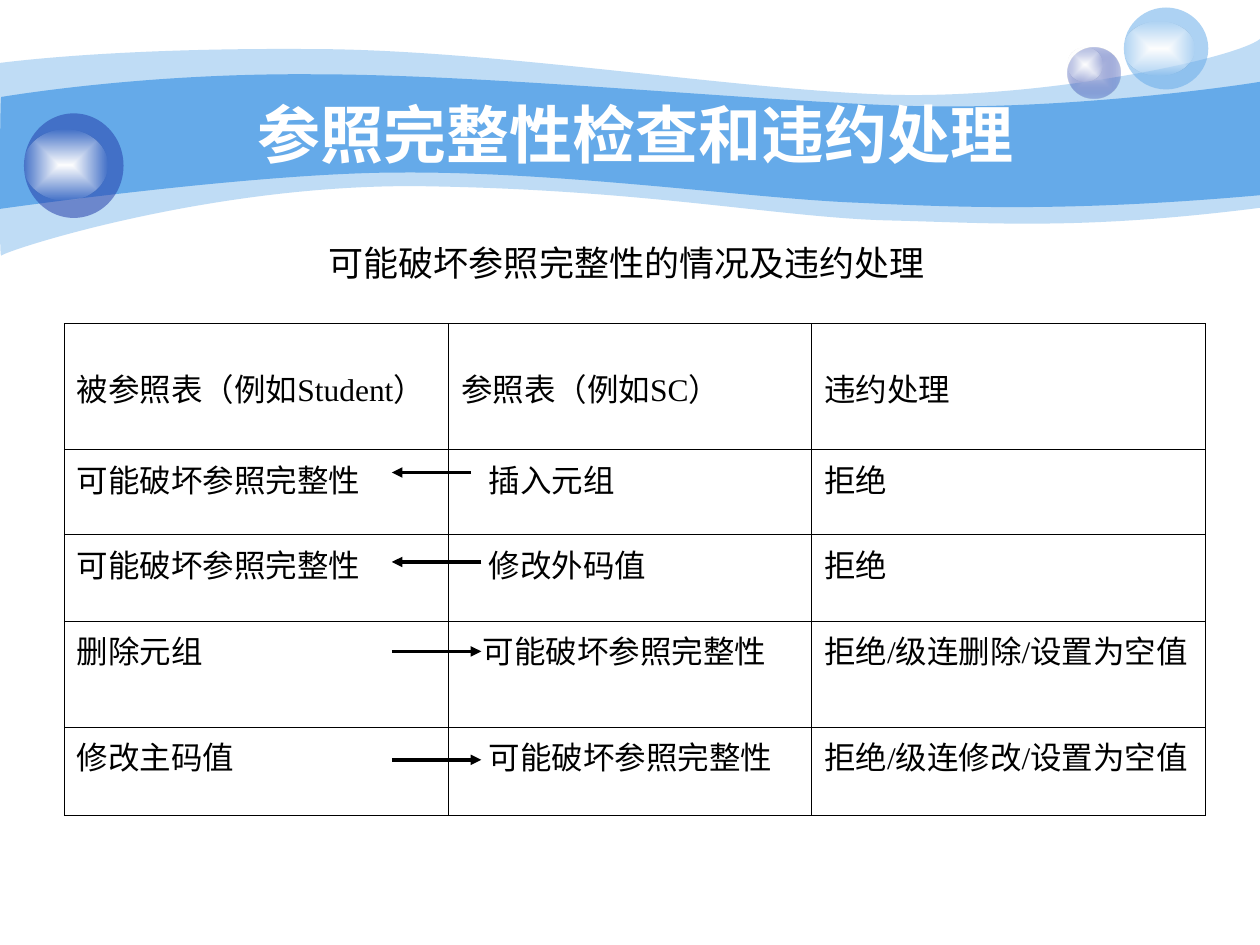
"""Build a slide on referential integrity checks with a wave banner and a table."""
from dataclasses import dataclass
from typing import NamedTuple, Optional

from lxml import etree
from pptx import Presentation, util as u
from pptx.dml import color
from pptx.enum import shapes, text
from pptx.oxml import ns

GRID = u.Inches(1)
COLUMNS, ROWS = 10, 7.5
BLACK, WHITE, SKY, NAVY = "000000", "FFFFFF", "65AAE9", "233DA9"
SERIF, SANS = "Times New Roman", "Arial"


class Box(NamedTuple):
    left: float
    top: float
    width: float
    height: float


class Stop(NamedTuple):
    position: int
    hex_value: str
    alpha: int = 100


@dataclass
class Wave:
    start: tuple
    segments: list
    alpha: int = 100


@dataclass
class Bubble:
    box: Box
    shine: Box
    hex_value: str
    alpha: int = 100
    stops: Optional[list] = None


@dataclass
class Arrow:
    start: float
    end: float
    row: float


@dataclass
class Entry:
    words: str
    indent: float = 0


WAVES = [
    Wave((0, 0.5), [
        (0.24, 0.47, 1.07, 0.38, 2.47, 0.39), (3.86, 0.39, 5.75, 0.7, 6.99, 0.75),
        (8.22, 0.8, 9.8, 0.47, 10, 0.31), (10, 1.65),
        (8.58, 1.83, 7.87, 1.77, 7.05, 1.75), (6.22, 1.73, 5.15, 1.51, 3.43, 1.48),
        (1.72, 1.44, 0.04, 1.99, 0.01, 2.03), (-0.01, 2.08, 0, 0.75, 0, 0.5)], 41),
    Wave((0.01, 0.77), [
        (0.02, 0.77, 1.1, 0.58, 2.48, 0.59), (3.86, 0.59, 5.95, 0.8, 7.18, 0.84),
        (8.41, 0.88, 9.76, 0.69, 10, 0.65), (10, 1.55),
        (8.53, 1.68, 7.65, 1.65, 6.82, 1.61), (5.99, 1.58, 4.47, 1.36, 3.17, 1.37),
        (2.03, 1.37, -0.02, 1.66, -0.01, 1.66), (0, 1.66, 0, 0.77, 0.01, 0.77)]),
]
SHINE = [Stop(0, WHITE), Stop(100, "FEFEFE", 0)]
BUBBLES = [
    Bubble(Box(8.47, 0.38, 0.42, 0.4), Box(8.47, 0.38, 0.28, 0.27), NAVY,
           stops=[Stop(0, "C6CCE8"), Stop(100, NAVY, 31)]),
    Bubble(Box(8.92, 0.06, 0.67, 0.65), Box(8.92, 0.17, 0.56, 0.43), SKY, 53),
    Bubble(Box(0.19, 0.9, 0.79, 0.83), Box(0.19, 1.03, 0.66, 0.56), NAVY, 53),
]
TABLE_BOX = Box(0.51, 2.57, 9.06, 3.94)
COLUMN_WIDTHS = [3.05, 2.88, 3.13]
ROW_HEIGHTS = [1, 0.67, 0.69, 0.84, 0.7]
HEADER_DROP = 0.28
BROKEN = "可能破坏参照完整性"
ENTRIES = [
    [Entry("被参照表（例如Student）"), Entry("参照表（例如SC）"), Entry("违约处理")],
    [Entry(BROKEN), Entry("插入元组", 0.22), Entry("拒绝")],
    [Entry(BROKEN), Entry("修改外码值", 0.22), Entry("拒绝")],
    [Entry("删除元组"), Entry(BROKEN, 0.17), Entry("拒绝/级连删除/设置为空值")],
    [Entry("修改主码值"), Entry(BROKEN, 0.22), Entry("拒绝/级连修改/设置为空值")],
]
ARROWS = [Arrow(3.74, 3.11, 3.75), Arrow(3.82, 3.11, 4.46),
          Arrow(3.11, 3.82, 5.17), Arrow(3.11, 3.82, 6.03)]


def emu(cells: float) -> int:
    return round(cells * GRID)


def place(box: Box) -> list:
    return [emu(value) for value in box]


def rgb(hex_value: str) -> color.RGBColor:
    return color.RGBColor.from_string(hex_value)


def add_child(parent, tag: str, **attributes):
    return etree.SubElement(parent, ns.qn(tag), {k: str(v) for k, v in attributes.items()})


def add_colour(parent, hex_value: str, alpha: int = 100) -> None:
    node = add_child(parent, "a:srgbClr", val=hex_value)
    if alpha < 100:
        add_child(node, "a:alpha", val=alpha * 1000)


def paint(shape, hex_value: str, alpha: int = 100) -> None:
    shape.shadow.inherit = False
    shape.line.fill.background()
    shape.fill.solid()
    shape.fill.fore_color.rgb = rgb(hex_value)
    if alpha < 100:
        node = next(shape.element.spPr.iter(ns.qn("a:srgbClr")))
        add_child(node, "a:alpha", val=alpha * 1000)


def paint_glow(shape, stops: list) -> None:
    paint(shape, WHITE)
    solid = shape.element.spPr.find(ns.qn("a:solidFill"))
    gradient = etree.Element(ns.qn("a:gradFill"), rotWithShape="1")
    stop_list = add_child(gradient, "a:gsLst")
    for stop in stops:
        node = add_child(stop_list, "a:gs", pos=stop.position * 1000)
        add_colour(node, stop.hex_value, stop.alpha)
    centre = add_child(gradient, "a:path", path="rect")
    add_child(centre, "a:fillToRect", l=50000, t=50000, r=50000, b=50000)
    shape.element.spPr.replace(solid, gradient)


def bend(shape, segments: list) -> None:
    outline = next(shape.element.spPr.iter(ns.qn("a:path")))
    steps = iter(outline.findall(ns.qn("a:lnTo")))
    for segment in segments:
        group = [next(steps) for _ in range(len(segment) // 2)]
        if len(group) == 3:
            curve = etree.Element(ns.qn("a:cubicBezTo"))
            group[0].addprevious(curve)
            for step in group:
                curve.append(step[0])
                outline.remove(step)


def draw_wave(slide, wave: Wave) -> None:
    points = [(emu(segment[i]), emu(segment[i + 1]))
              for segment in wave.segments for i in range(0, len(segment), 2)]
    builder = slide.shapes.build_freeform(*[emu(value) for value in wave.start], scale=1.0)
    builder.add_line_segments(points, close=True)
    shape = builder.convert_to_shape()
    bend(shape, wave.segments)
    paint(shape, SKY, wave.alpha)


def draw_bubble(slide, bubble: Bubble) -> None:
    group = slide.shapes.add_group_shape()
    body = group.shapes.add_shape(shapes.MSO_SHAPE.OVAL, *place(bubble.box))
    if bubble.stops:
        paint_glow(body, bubble.stops)
    else:
        paint(body, bubble.hex_value, bubble.alpha)
    paint_glow(group.shapes.add_shape(shapes.MSO_SHAPE.OVAL, *place(bubble.shine)), SHINE)


def write(paragraph, words: str, size: int, font: str, hex_value: str = BLACK,
          bold: bool = False) -> None:
    run = paragraph.add_run()
    run.text = words
    run.font.size, run.font.name, run.font.bold = u.Pt(size), font, bold
    run.font.color.rgb = rgb(hex_value)


def write_centred(shape, words: str, size: int, font: str, hex_value: str, bold: bool) -> None:
    frame = shape.text_frame
    frame.vertical_anchor = text.MSO_ANCHOR.MIDDLE
    frame.paragraphs[0].alignment = text.PP_ALIGN.CENTER
    write(frame.paragraphs[0], words, size, font, hex_value, bold)


def write_title(slide, words: str) -> None:
    title = slide.shapes.title
    slide.shapes.element.append(title.element)
    title.left, title.top, title.width, title.height = place(Box(1, 0.75, 8.08, 0.62))
    title.text_frame.auto_size = text.MSO_AUTO_SIZE.NONE
    write_centred(title, words, 36, SANS, WHITE, True)


def write_caption(slide, words: str) -> None:
    caption = slide.shapes.add_textbox(*place(Box(2.51, 1.86, 4.93, 0.44)))
    caption.text_frame.word_wrap = False
    caption.text_frame.auto_size = text.MSO_AUTO_SIZE.SHAPE_TO_FIT_TEXT
    write_centred(caption, words, 20, SERIF, BLACK, False)


def border(cell) -> None:
    properties = cell._tc.get_or_add_tcPr()
    for index, side in enumerate(("a:lnL", "a:lnR", "a:lnT", "a:lnB")):
        line = etree.Element(ns.qn(side), w=str(u.Pt(0.45)))
        add_colour(add_child(line, "a:solidFill"), BLACK)
        properties.insert(index, line)


def draw_table(slide) -> None:
    table = slide.shapes.add_table(len(ENTRIES), len(COLUMN_WIDTHS), *place(TABLE_BOX)).table
    table.first_row = table.horz_banding = False
    for column, width in zip(table.columns, COLUMN_WIDTHS):
        column.width = emu(width)
    for index, (row, height) in enumerate(zip(table.rows, ROW_HEIGHTS)):
        row.height = emu(height)
        for cell, entry in zip(row.cells, ENTRIES[index]):
            cell.margin_left = emu(0.1 + entry.indent)
            cell.margin_top = emu(0.05 + (0 if index else HEADER_DROP))
            cell.fill.background()
            border(cell)
            write(cell.text_frame.paragraphs[0], entry.words, 18, SERIF)


def draw_arrow(slide, arrow: Arrow) -> None:
    ends = [emu(value) for value in (arrow.start, arrow.row, arrow.end, arrow.row)]
    connector = slide.shapes.add_connector(shapes.MSO_CONNECTOR.STRAIGHT, *ends)
    connector.line.width = u.Pt(2)
    connector.line.color.rgb = rgb(BLACK)
    add_child(connector.line._get_or_add_ln(), "a:tailEnd", type="triangle")
    add_child(connector._element.spPr, "a:effectLst")


def main() -> None:
    presentation = Presentation()
    presentation.slide_width, presentation.slide_height = emu(COLUMNS), emu(ROWS)
    slide = presentation.slides.add_slide(presentation.slide_layouts.get_by_name("Title Only"))
    for wave in WAVES:
        draw_wave(slide, wave)
    for bubble in BUBBLES:
        draw_bubble(slide, bubble)
    write_title(slide, "参照完整性检查和违约处理")
    write_caption(slide, "可能破坏参照完整性的情况及违约处理")
    draw_table(slide)
    for arrow in ARROWS:
        draw_arrow(slide, arrow)
    presentation.save("out.pptx")


if __name__ == "__main__":
    main()
